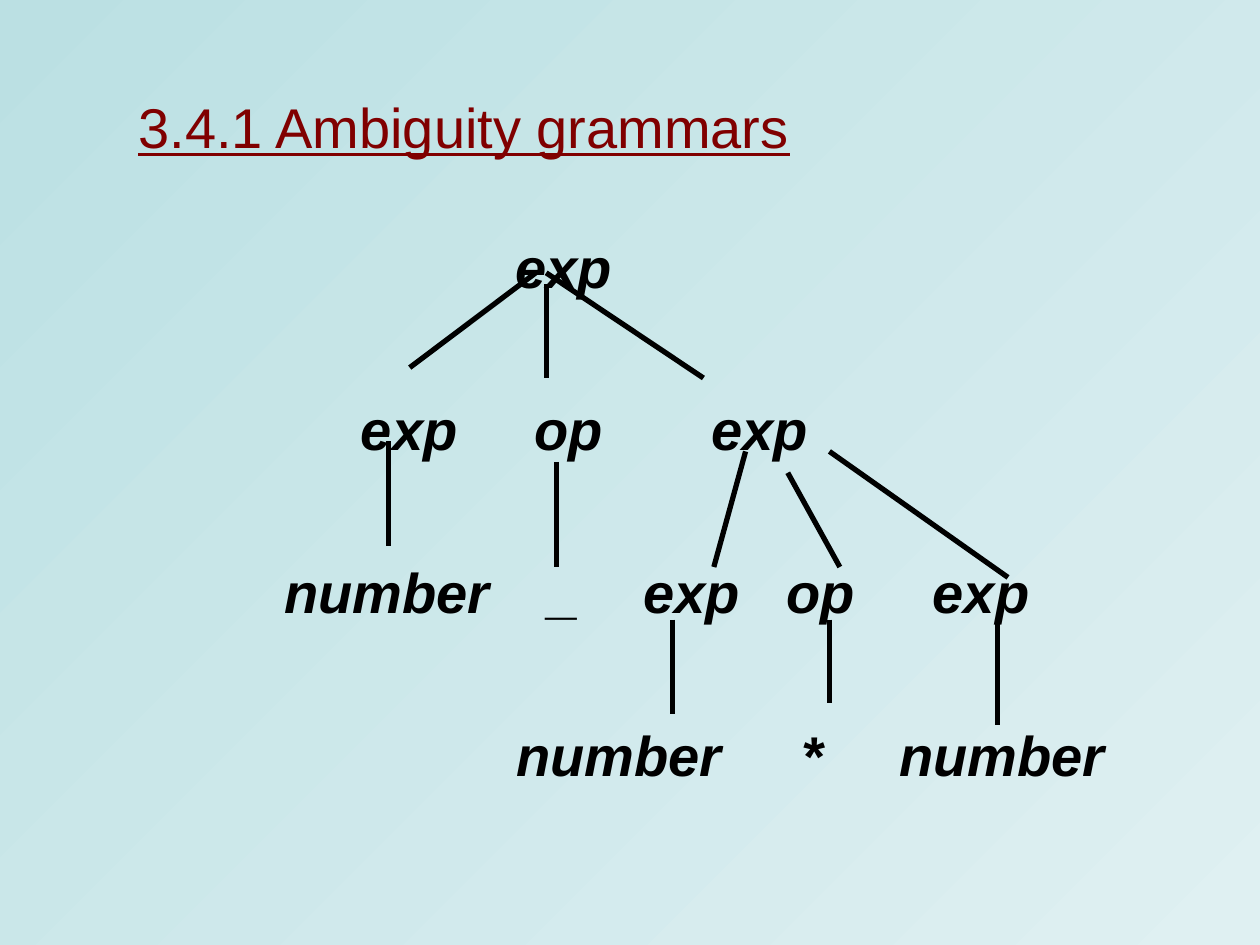
from lxml.etree import SubElement as Sub
from pptx import Presentation
from pptx.dml.color import RGBColor as Rgb
from pptx.enum.shapes import MSO_CONNECTOR as Link
from pptx.enum.text import MSO_ANCHOR as Anchor, PP_ALIGN as Align
from pptx.oxml.ns import qn
from pptx.util import Cm, Pt

hues = {"dark": "BBE0E3", "light": "DFF0F2", "title": "800000", "ink": "000000"}

deck = Presentation()
deck.slide_width, deck.slide_height = Cm(25.4), Cm(19.05)
slide = deck.slides.add_slide(deck.slide_layouts[6])

fill = slide.background.fill
fill.gradient()
fill.gradient_angle = 315
for stop, key in zip(fill.gradient_stops, ("dark", "light")):
    stop.color.rgb = Rgb.from_string(hues[key])


def write(text, left, top, width, height, pad=0, hue="ink", align=Align.CENTER,
          anchor=Anchor.TOP, bold=False, italic=False, under=False):
    box = slide.shapes.add_textbox(Cm(left), Cm(top), Cm(width), Cm(height))
    frame = box.text_frame
    frame.word_wrap = True
    frame.vertical_anchor = anchor
    frame.margin_left = frame.margin_right = Cm(pad)
    frame.margin_top = frame.margin_bottom = 0
    para = frame.paragraphs[0]
    para.alignment = align
    run = para.add_run()
    run.text = text
    font = run.font
    font.name, font.size = "Arial", Pt(32)
    font.bold, font.italic, font.underline = bold, italic, under
    font.color.rgb = Rgb.from_string(hues[hue])


write("3.4.1 Ambiguity grammars", 2.54, 1.69, 21.59, 1.69, pad=0.25,
      hue="title", align=Align.LEFT, anchor=Anchor.MIDDLE, under=True)

rows = [
    [("exp", 11.37)],
    [("exp", 8.25), ("op", 11.47), ("exp", 15.32)],
    [("number", 7.8), ("_", 11.37), ("exp", 13.95), ("op", 16.55), ("exp", 19.78)],
    [("number", 12.48), ("*", 16.37), ("number", 20.2)],
]
sizes = {"number": 4.6, "exp": 2.4, "op": 1.8, "_": 1, "*": 1}
for num, row in enumerate(rows):
    for word, mid in row:
        wide = sizes[word]
        write(word, mid - wide / 2, 4.68 + 3.28 * num, wide, 1.3,
              bold=True, italic=True)

edges = [
    (10.8, 5.5, 8.26, 7.41),
    (11.01, 5.72, 11.01, 7.62),
    (11.01, 5.5, 14.18, 7.62),
    (7.83, 8.89, 7.83, 11.01),
    (11.22, 9.31, 11.22, 11.43),
    (15.03, 9.1, 14.39, 11.43),
    (15.88, 9.53, 16.93, 11.43),
    (16.72, 9.1, 20.32, 11.64),
    (13.55, 12.49, 13.55, 14.39),
    (16.72, 12.49, 16.72, 14.18),
    (20.11, 12.49, 20.11, 14.61),
]
for edge in edges:
    line = slide.shapes.add_connector(Link.STRAIGHT, *map(Cm, edge))
    line.line.width = Pt(3)
    line.line.color.rgb = Rgb.from_string(hues["ink"])
    Sub(line._element.spPr, qn("a:effectLst"))

deck.save("out.pptx")
